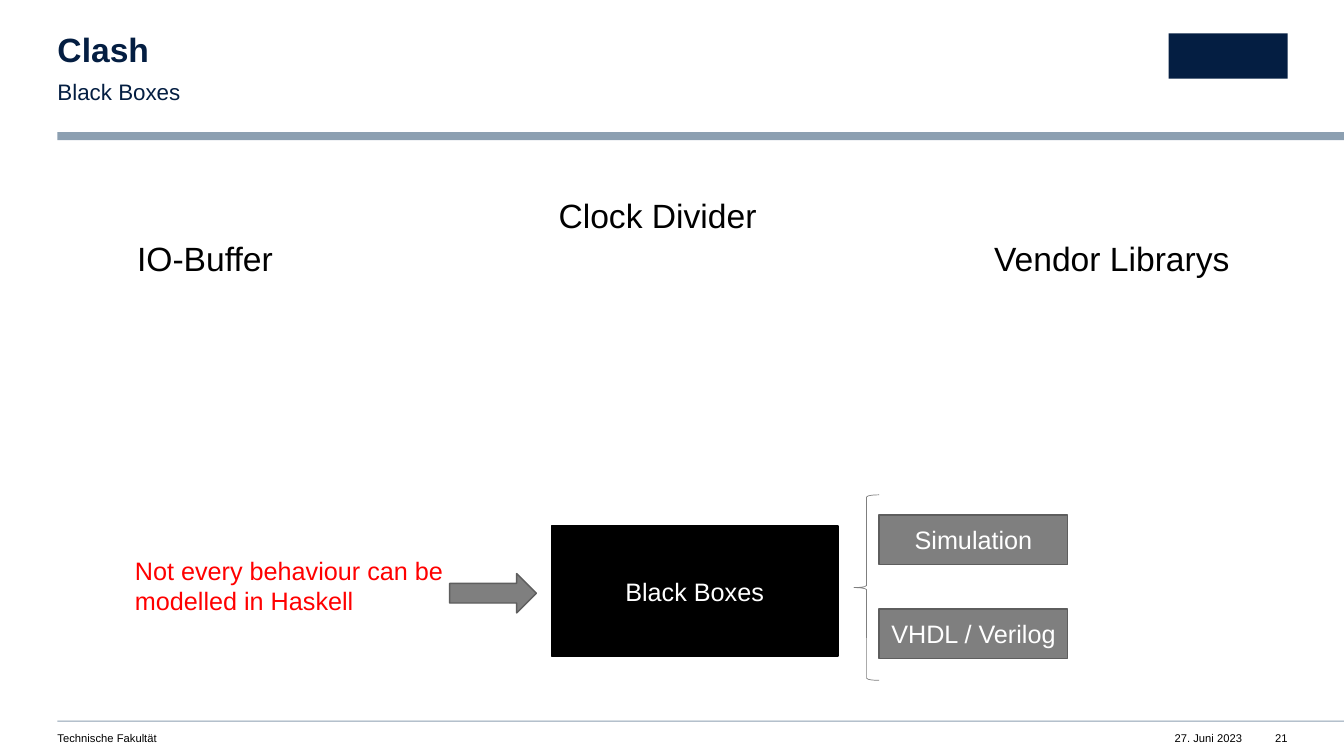
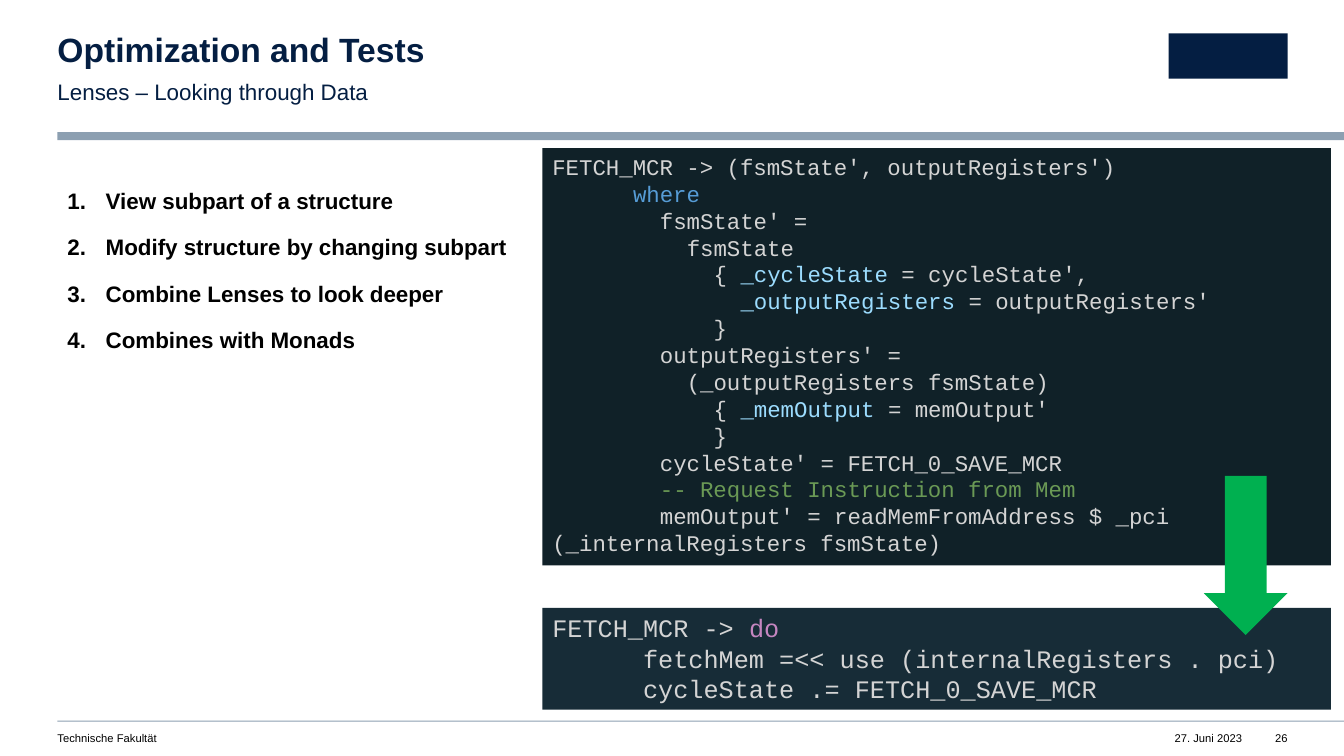
import pptx
import pptx.dml.color
import pptx.enum.shapes
import pptx.enum.text
import pptx.oxml.ns
import pptx.util
from dataclasses import dataclass
from typing import NamedTuple, Optional
from lxml import etree

Inches = pptx.util.Inches
Pt = pptx.util.Pt
RGB = pptx.dml.color.RGBColor
SHAPE = pptx.enum.shapes.MSO_SHAPE
ALIGN = pptx.enum.text.PP_ALIGN
ANCHOR = pptx.enum.text.MSO_ANCHOR

# Colours and fonts
NAVY = RGB(0x04, 0x1E, 0x42)
STEEL = RGB(0x8C, 0x9F, 0xB1)
BLACK = RGB(0, 0, 0)
WHITE = RGB(0xFF, 0xFF, 0xFF)
RED = RGB(0xFF, 0, 0)
GREEN = RGB(0x00, 0xB0, 0x50)
GREY = RGB(0x7F, 0x7F, 0x7F)
DARK_GREY = RGB(0x5E, 0x5E, 0x5E)
CODE_DARK = RGB(0x10, 0x21, 0x28)
CODE_BLUE = RGB(0x17, 0x2C, 0x37)
CODE_TEXT = RGB(0xD4, 0xD4, 0xD4)
KEYWORD = RGB(0x56, 0x9C, 0xD6)
FIELD = RGB(0x9C, 0xDC, 0xFE)
REMARK = RGB(0x6A, 0x99, 0x55)
CONTROL = RGB(0xC5, 0x86, 0xC0)
SANS = "Arial"
MONO = "Courier New"
MONO_ADVANCE = 0.6  # character width per point of text size

SLIDE_WIDTH = 13.33
MARGIN = 0.57
CODE_LEFT, CODE_WIDTH = 5.38, 7.82


class Box(NamedTuple):
    left: float
    top: float
    width: float
    height: float

    def lengths(self) -> tuple:
        return tuple(Inches(value) for value in self)


@dataclass(frozen=True)
class TextStyle:
    size: float
    color: RGB = BLACK
    bold: bool = False
    align: ALIGN = ALIGN.LEFT
    spacing: float = 1.0
    after: float = 0
    inset: bool = False
    numbered: bool = False


TITLE = TextStyle(24, NAVY, bold=True, spacing=0.9)
SUBTITLE = TextStyle(16, NAVY, spacing=1.1, after=12)
FOOTER = TextStyle(8)
FOOTER_RIGHT = TextStyle(8, align=ALIGN.RIGHT)
TOPIC = TextStyle(24, spacing=1.1, after=12)
REASON = TextStyle(18, RED, inset=True)
BOX_LABEL = TextStyle(18, WHITE, align=ALIGN.CENTER, inset=True)
POINTS = TextStyle(16, bold=True, spacing=1.1, after=12, inset=True, numbered=True)


class CodeLine(NamedTuple):
    indent: int
    segments: tuple  # plain strings, or (string, colour) pairs


@dataclass(frozen=True)
class CodeBlock:
    box: Box
    fill: RGB
    size: float
    lines: tuple


# Shared drawing functions
def format_font(font, face: str, size: float, color: RGB, bold: bool = False) -> None:
    font.name = face
    font.size = Pt(size)
    font.color.rgb = color
    font.bold = bold


def fill_text(frame, lines: tuple, style: TextStyle) -> None:
    frame.word_wrap = True
    if not style.inset:
        frame.margin_left = frame.margin_right = 0
        frame.margin_top = frame.margin_bottom = 0
    frame.text = "\n".join(lines)
    for paragraph in frame.paragraphs:
        paragraph.alignment = style.align
        paragraph.line_spacing = style.spacing
        paragraph.space_after = Pt(style.after)
        for run in paragraph.runs:
            format_font(run.font, SANS, style.size, style.color, style.bold)
        if style.numbered:
            properties = paragraph._p.get_or_add_pPr()
            properties.set("marL", str(Inches(0.38)))
            properties.set("indent", str(-Inches(0.38)))
            number = etree.SubElement(properties, pptx.oxml.ns.qn("a:buAutoNum"))
            number.set("type", "arabicPeriod")


def add_text(slide, box: Box, style: TextStyle, *lines: str) -> None:
    fill_text(slide.shapes.add_textbox(*box.lengths()).text_frame, lines, style)


def add_form(slide, kind: SHAPE, box: Box, fill: Optional[RGB] = None,
             line: Optional[RGB] = None, line_width: float = 1, label: str = ""):
    form = slide.shapes.add_shape(kind, *box.lengths())
    form.shadow.inherit = False
    if fill is None:
        form.fill.background()
    else:
        form.fill.solid()
        form.fill.fore_color.rgb = fill
    if line is None:
        form.line.fill.background()
    else:
        form.line.color.rgb = line
        form.line.width = Pt(line_width)
    if label:
        fill_text(form.text_frame, (label,), BOX_LABEL)
        form.text_frame.vertical_anchor = ANCHOR.MIDDLE
    return form


def add_code(slide, block: CodeBlock) -> None:
    frame = add_form(slide, SHAPE.RECTANGLE, block.box, block.fill).text_frame
    frame.word_wrap = True
    frame.vertical_anchor = ANCHOR.TOP
    for index, line in enumerate(block.lines):
        paragraph = frame.add_paragraph() if index else frame.paragraphs[0]
        paragraph.alignment = ALIGN.LEFT
        properties = paragraph._p.get_or_add_pPr()
        properties.set("marL", "0")
        properties.set("indent", str(Pt(line.indent * block.size * MONO_ADVANCE)))
        for segment in line.segments:
            words, color = (segment, CODE_TEXT) if isinstance(segment, str) else segment
            run = paragraph.add_run()
            run.text = words
            format_font(run.font, MONO, block.size, color)


def add_base_slide(deck, title: str, subtitle: str, number: str):
    slide = deck.slides.add_slide(deck.slide_layouts[6])
    # Header band, footer rule and emblem
    for top, height in ((1.31, 0.08), (7.15, 0.01)):
        band = Box(MARGIN, top, SLIDE_WIDTH - MARGIN, height)
        add_form(slide, SHAPE.RECTANGLE, band, STEEL)
    add_form(slide, SHAPE.RECTANGLE, Box(11.59, 0.33, 1.18, 0.45), NAVY)
    # Title and footer texts
    add_text(slide, Box(MARGIN, 0.33, 7.49, 0.36), TITLE, title)
    add_text(slide, Box(MARGIN, 0.75, 7.49, 0.27), SUBTITLE, subtitle)
    add_text(slide, Box(MARGIN, 7.26, 5.98, 0.13), FOOTER, "Technische Fakultät")
    add_text(slide, Box(11.39, 7.26, 0.93, 0.13), FOOTER_RIGHT, "27. Juni 2023")
    add_text(slide, Box(12.56, 7.26, 0.21, 0.13), FOOTER_RIGHT, number)
    return slide


# Slide contents
TOPICS = (
    ("IO-Buffer", Box(1.36, 2.32, 2.35, 0.41)),
    ("Clock Divider", Box(5.54, 1.89, 3.14, 0.41)),
    ("Vendor Librarys", Box(9.86, 2.32, 3.4, 0.41)),
)

RECORD_CODE = CodeBlock(Box(CODE_LEFT, 1.47, CODE_WIDTH, 4.14), CODE_DARK, 16, (
    CodeLine(0, ("FETCH_MCR -> (fsmState', outputRegisters')",)),
    CodeLine(6, (("where", KEYWORD),)),
    CodeLine(8, ("fsmState' =",)),
    CodeLine(10, ("fsmState",)),
    CodeLine(12, ("{ ", ("_cycleState", FIELD), " = cycleState',")),
    CodeLine(14, (("_outputRegisters", FIELD), " = outputRegisters'")),
    CodeLine(12, ("}",)),
    CodeLine(8, ("outputRegisters' =",)),
    CodeLine(10, ("(_outputRegisters fsmState)",)),
    CodeLine(12, ("{ ", ("_memOutput", FIELD), " = memOutput'")),
    CodeLine(12, ("}",)),
    CodeLine(8, ("cycleState' = FETCH_0_SAVE_MCR",)),
    CodeLine(8, (("-- Request Instruction from Mem", REMARK),)),
    CodeLine(8, ("memOutput' = readMemFromAddress $ _pci (_internalRegisters fsmState)",)),
))

LENS_CODE = CodeBlock(Box(CODE_LEFT, 6.03, CODE_WIDTH, 1.01), CODE_BLUE, 18, (
    CodeLine(0, ("FETCH_MCR -> ", ("do", CONTROL))),
    CodeLine(6, ("fetchMem =<< use (internalRegisters . pci)",)),
    CodeLine(6, ("cycleState .= FETCH_0_SAVE_MCR",)),
))


def build_black_boxes(deck) -> None:
    slide = add_base_slide(deck, "Clash", "Black Boxes", "21")
    for topic, box in TOPICS:
        add_text(slide, box, TOPIC, topic)
    # Reason leading to the black box
    add_text(slide, Box(1.24, 5.46, 3.5, 0.71), REASON,
             "Not every behaviour can be modelled in Haskell")
    add_form(slide, SHAPE.RIGHT_ARROW, Box(4.46, 5.69, 0.86, 0.39), GREY, DARK_GREY)
    add_form(slide, SHAPE.RECTANGLE, Box(5.47, 5.22, 2.84, 1.29), BLACK, BLACK,
             label="Black Boxes")
    # Contents of a black box
    add_form(slide, SHAPE.LEFT_BRACE, Box(8.47, 4.91, 0.25, 1.84), line=GREY, line_width=0.5)
    for row, label in enumerate(("Simulation", "VHDL / Verilog")):
        add_form(slide, SHAPE.RECTANGLE, Box(8.72, 5.11 + row * 0.93, 1.87, 0.49),
                 GREY, DARK_GREY, label=label)


def build_lenses(deck) -> None:
    slide = add_base_slide(deck, "Optimization and Tests", "Lenses – Looking through Data", "26")
    add_text(slide, Box(MARGIN, 1.78, 5.98, 5), POINTS,
             "View subpart of a structure", "Modify structure by changing subpart",
             "Combine Lenses to look deeper", "Combines with Monads")
    for block in (RECORD_CODE, LENS_CODE):
        add_code(slide, block)
    add_form(slide, SHAPE.DOWN_ARROW, Box(11.94, 4.72, 0.83, 1.58), GREEN)


def main() -> None:
    deck = pptx.Presentation()
    deck.slide_width, deck.slide_height = Inches(SLIDE_WIDTH), Inches(7.5)
    build_black_boxes(deck)
    build_lenses(deck)
    deck.save("out.pptx")


if __name__ == "__main__":
    main()
